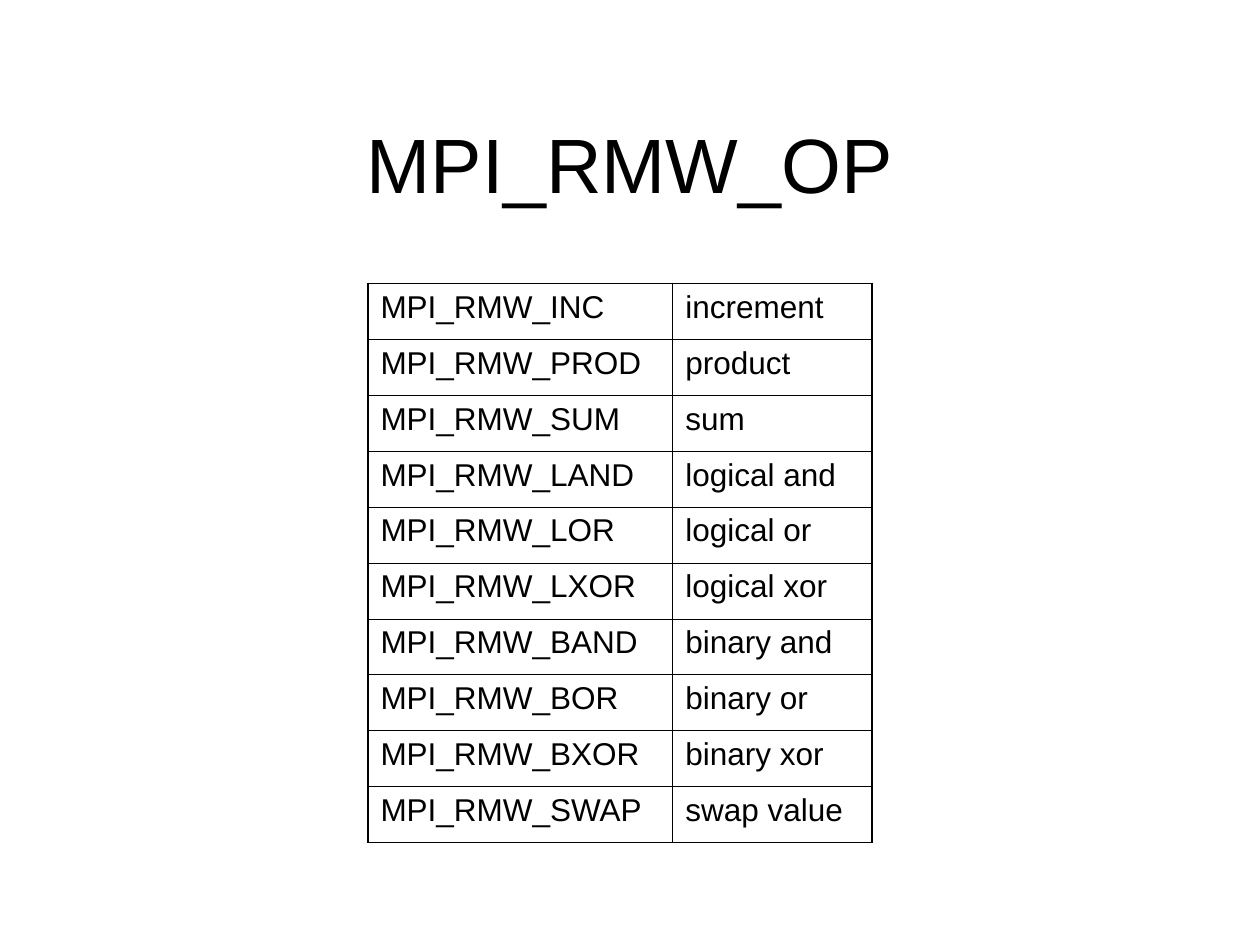
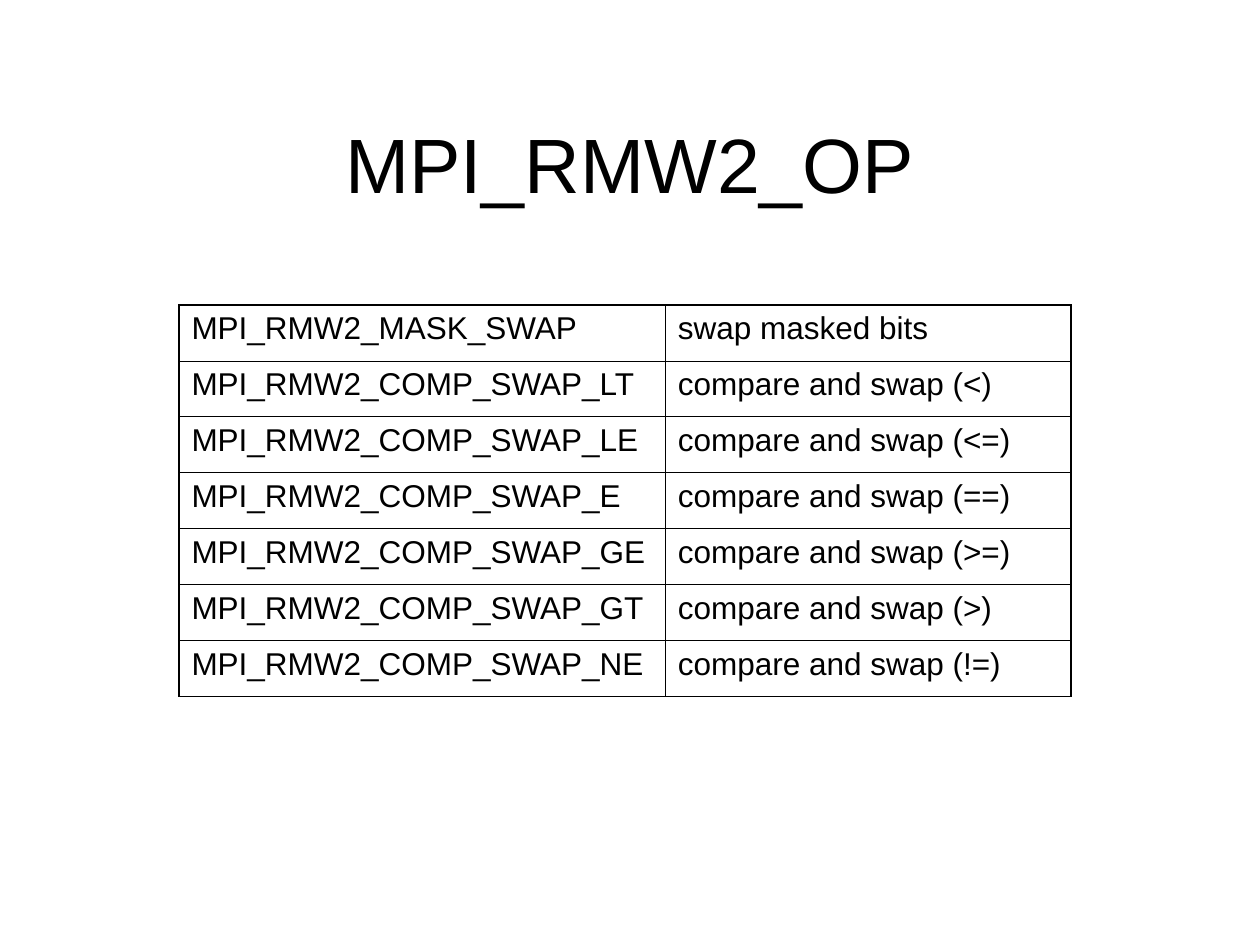
from lxml import etree
from pptx import Presentation
from pptx import util as u
from pptx.dml.color import RGBColor
from pptx.enum import text
from pptx.oxml.ns import qn

INK, PAPER = "000000", "FFFFFF"
FONT = "Arial"
INNER_LINE, OUTER_LINE = 0.45, 1.08
TITLE_ONLY = 5
TITLE_BOX = (0.75, 0.67, 8.5, 1.25)

RMW_OPERATIONS = [
    ("MPI_RMW_INC", "increment"),
    ("MPI_RMW_PROD", "product"),
    ("MPI_RMW_SUM", "sum"),
    ("MPI_RMW_LAND", "logical and"),
    ("MPI_RMW_LOR", "logical or"),
    ("MPI_RMW_LXOR", "logical xor"),
    ("MPI_RMW_BAND", "binary and"),
    ("MPI_RMW_BOR", "binary or"),
    ("MPI_RMW_BXOR", "binary xor"),
    ("MPI_RMW_SWAP", "swap value"),
]
RMW2_OPERATIONS = [("MPI_RMW2_MASK_SWAP", "swap masked bits")] + [
    (f"MPI_RMW2_COMP_SWAP_{suffix}", f"compare and swap ({sign})")
    for suffix, sign in [("LT", "<"), ("LE", "<="), ("E", "=="),
                         ("GE", ">="), ("GT", ">"), ("NE", "!=")]
]


def color(value):
    """Turn a hex string into a colour."""
    return RGBColor.from_string(value)


def set_all(target, values):
    """Set every attribute named in a dict of format values."""
    for name, value in values.items():
        setattr(target, name, value)


def write(frame, words, size, **paragraph_format):
    """Write one formatted paragraph into a text frame."""
    para = frame.paragraphs[0]
    set_all(para, paragraph_format)
    span = para.add_run()
    span.text = words
    set_all(span.font, {"name": FONT, "size": u.Pt(size), "bold": False})
    span.font.color.rgb = color(INK)


def add_border(cell, side, width):
    """Draw one side of a cell as a solid line."""
    line = etree.SubElement(cell._tc.get_or_add_tcPr(), qn(f"a:ln{side}"),
                            w=str(u.Pt(width)))
    fill = etree.SubElement(line, qn("a:solidFill"))
    etree.SubElement(fill, qn("a:srgbClr"), val=INK)


def add_title(page, words, box):
    """Place and format the slide title."""
    title = page.shapes.title
    set_all(title, dict(zip(("left", "top", "width", "height"), map(u.Inches, box))))
    set_all(title.text_frame, {
        "word_wrap": True,
        "auto_size": text.MSO_AUTO_SIZE.NONE,
        "vertical_anchor": text.MSO_ANCHOR.MIDDLE,
    })
    write(title.text_frame, words, 44, alignment=text.PP_ALIGN.CENTER)


def add_operation_table(page, operations, box, name_width):
    """Fill the box with a ruled table of operation names and meanings."""
    left, top, width, height = box
    last_row = len(operations) - 1
    table = page.shapes.add_table(len(operations), 2, *map(u.Inches, box)).table
    set_all(table, {"first_row": False, "horz_banding": False})
    for column, column_width in zip(table.columns, (name_width, width - name_width)):
        column.width = u.Inches(column_width)
    for row, operation in enumerate(operations):
        table.rows[row].height = u.Inches(height / len(operations))
        for column, words in enumerate(operation):
            cell = table.cell(row, column)
            write(cell.text_frame, words, 18, space_before=u.Pt(4.5))
            outer_sides = {"L": column == 0, "R": column == 1,
                           "T": row == 0, "B": row == last_row}
            for side, is_outer in outer_sides.items():
                add_border(cell, side, OUTER_LINE if is_outer else INNER_LINE)
            cell.fill.background()


def add_operation_slide(deck, title, operations, box, name_width):
    """Add a slide with a title above an operation table."""
    page = deck.slides.add_slide(deck.slide_layouts[TITLE_ONLY])
    page.background.fill.solid()
    page.background.fill.fore_color.rgb = color(PAPER)
    add_title(page, title, TITLE_BOX)
    add_operation_table(page, operations, box, name_width)


def main():
    """Build and save the deck."""
    deck = Presentation()
    set_all(deck, {"slide_width": u.Inches(10), "slide_height": u.Inches(7.5)})
    add_operation_slide(deck, "MPI_RMW_OP", RMW_OPERATIONS,
                        (2.92, 2.25, 4, 4.44), 2.42)
    add_operation_slide(deck, "MPI_RMW2_OP", RMW2_OPERATIONS,
                        (1.42, 2.42, 7.08, 3.11), 3.86)
    deck.save("out.pptx")


if __name__ == "__main__":
    main()
